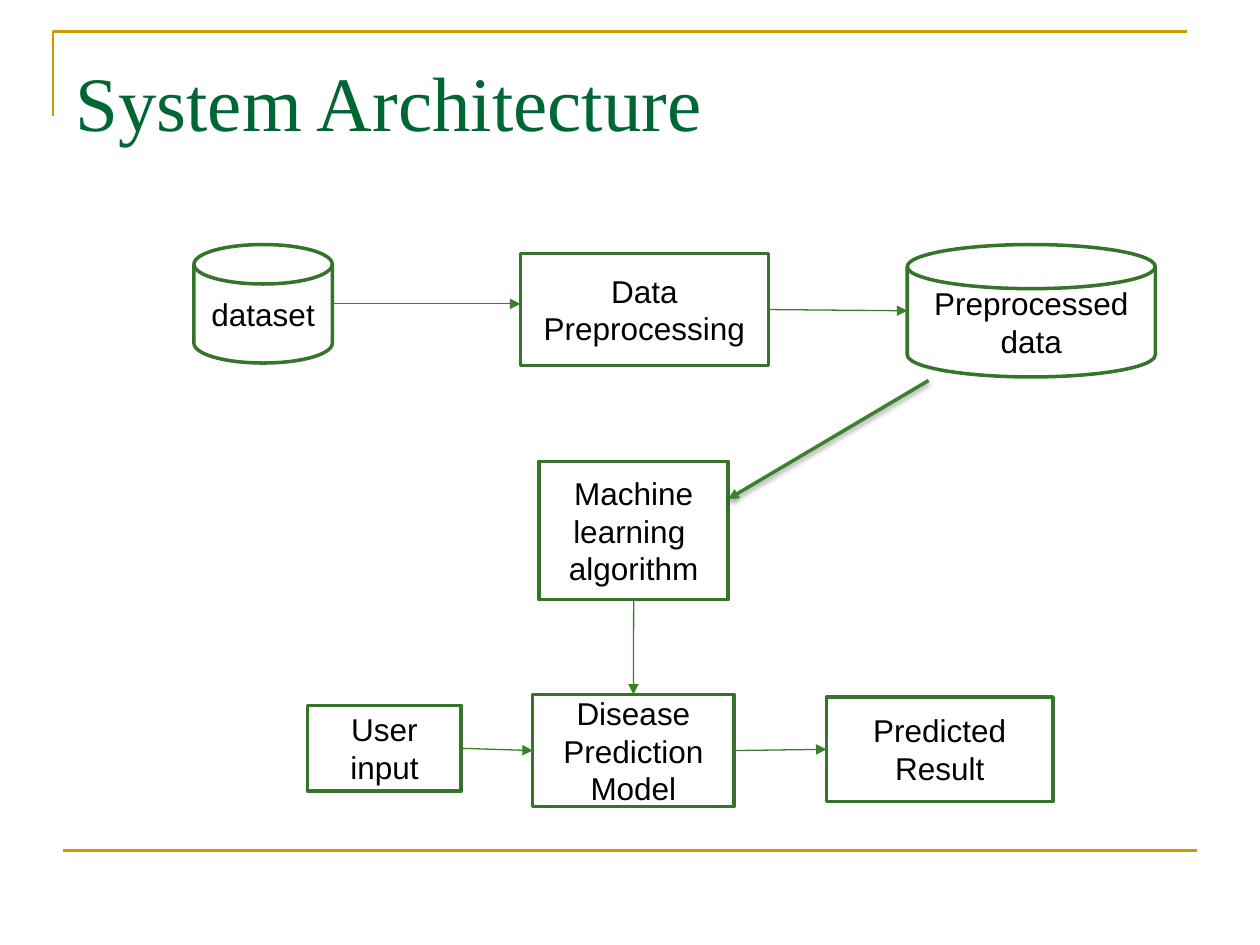
import pptx
import pptx.util
import pptx.dml.color
import pptx.enum.shapes
import pptx.enum.text
from lxml import etree
from pptx.util import Cm, Pt

SHAPE = pptx.enum.shapes.MSO_SHAPE
ALIGN = pptx.enum.text.PP_ALIGN
ANCHOR = pptx.enum.text.MSO_ANCHOR
A = "http://schemas.openxmlformats.org/drawingml/2006/main"

GOLD, TITLE_GREEN, BORDER = "CC9900", "006633", "35742A"
ARROW, BOLD_ARROW = "38802C", "3B812F"
BOX, DISK = SHAPE.RECTANGLE, SHAPE.FLOWCHART_MAGNETIC_DISK

# name: (shape, text, (left, top, width, height) in cm)
NODES = {
    "preprocessing": (BOX, "Data Preprocessing", (10.49, 5.11, 5, 2.26)),
    "dataset": (DISK, "dataset", (3.91, 4.93, 2.79, 2.39)),
    "algorithm": (BOX, "Machine learning \nalgorithm", (10.87, 9.3, 3.81, 2.79)),
    "input": (BOX, "User input", (6.2, 14.22, 3.1, 1.73)),
    "result": (BOX, "Predicted Result", (16.66, 14.05, 4.57, 2.11)),
    "preprocessed": (DISK, "Preprocessed data", (18.29, 4.93, 5, 2.67)),
    "model": (BOX, "Disease Prediction Model", (10.74, 14, 4.06, 2.26)),
}
# from node, side, to node, side
FLOWS = [
    ("input", "right", "model", "left"),
    ("preprocessing", "right", "preprocessed", "left"),
    ("algorithm", "bottom", "model", "top"),
    ("model", "right", "result", "left"),
]
SIDES = {"left": (0, 0.5), "right": (1, 0.5), "top": (0.5, 0), "bottom": (0.5, 1)}


def rgb(value):
    return pptx.dml.color.RGBColor.from_string(value)


def write(sp, text, size=18, font="Arial", color="000000",
          align=ALIGN.CENTER, anchor=ANCHOR.MIDDLE):
    tf = sp.text_frame
    tf.word_wrap = True
    tf.vertical_anchor = anchor
    for i, line in enumerate(text.split("\n")):
        p = tf.paragraphs[0] if i == 0 else tf.add_paragraph()
        p.alignment = align
        r = p.add_run()
        r.text = line
        r.font.size, r.font.name = Pt(size), font
        r.font.color.rgb = rgb(color)


def side_point(name, side):
    left, top, width, height = NODES[name][2]
    fx, fy = SIDES[side]
    return left + fx * width, top + fy * height


def add_line(s, start, end, color, width, arrow=False, shadow=False):
    cx = s.shapes.add_connector(pptx.enum.shapes.MSO_CONNECTOR.STRAIGHT,
                                *map(Cm, start + end))
    cx.line.color.rgb = rgb(color)
    cx.line.width = Pt(width)
    if arrow:
        etree.SubElement(cx.line._get_or_add_ln(), f"{{{A}}}tailEnd", type="triangle")
    effects = etree.SubElement(cx._element.spPr, f"{{{A}}}effectLst")
    if shadow:
        outer = etree.SubElement(effects, f"{{{A}}}outerShdw", blurRad=str(Pt(3.1)),
                                 dist=str(Pt(1.6)), dir="5400000", rotWithShape="0")
        black = etree.SubElement(outer, f"{{{A}}}srgbClr", val="000000")
        etree.SubElement(black, f"{{{A}}}alpha", val="38000")


def add_corner(s):
    builder = s.shapes.build_freeform(Cm(1.07), Cm(2.33))
    builder.add_line_segments([(Cm(1.07), Cm(0.64)), (Cm(23.93), Cm(0.64))], close=False)
    sp = builder.convert_to_shape()
    sp.shadow.inherit = False
    sp.fill.background()
    sp.line.color.rgb = rgb(GOLD)
    sp.line.width = Pt(1.5)


def add_node(s, shape, text, box):
    sp = s.shapes.add_shape(shape, *map(Cm, box))
    sp.shadow.inherit = False
    sp.fill.solid()
    sp.fill.fore_color.rgb = rgb("FFFFFF")
    sp.line.color.rgb = rgb(BORDER)
    sp.line.width = Pt(2)
    write(sp, text)


def main():
    prs = pptx.Presentation()
    prs.slide_width, prs.slide_height = Cm(25.4), Cm(19.05)
    s = prs.slides.add_slide(prs.slide_layouts[6])

    add_corner(s)
    add_line(s, (1.27, 17.15), (24.13, 17.15), GOLD, 1.5)
    title = s.shapes.add_textbox(Cm(1.27), Cm(0.97), Cm(22.86), Cm(2.5))
    write(title, "System Architecture", size=44, font="Times New Roman",
          color=TITLE_GREEN, align=ALIGN.LEFT, anchor=ANCHOR.TOP)

    for shape, text, box in NODES.values():
        add_node(s, shape, text, box)
    for source, out_side, target, in_side in FLOWS:
        add_line(s, side_point(source, out_side), side_point(target, in_side),
                 ARROW, 0.75, arrow=True)
    # The dataset arrow runs level, at the middle of the disk
    start = side_point("dataset", "right")
    end = (side_point("preprocessing", "left")[0], start[1])
    add_line(s, start, end, ARROW, 0.75, arrow=True)
    add_line(s, (18.72, 7.67), (14.68, 10.06), BOLD_ARROW, 2, arrow=True, shadow=True)

    prs.save("out.pptx")


if __name__ == "__main__":
    main()
